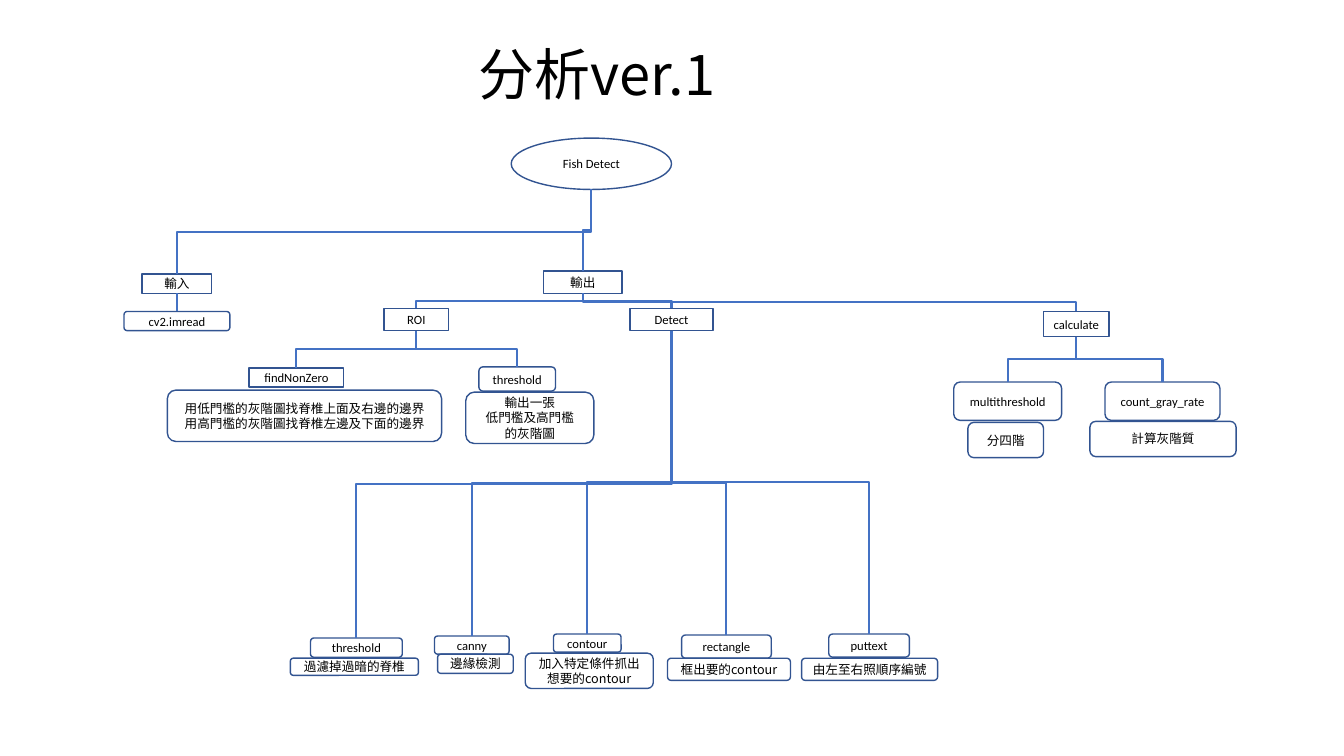
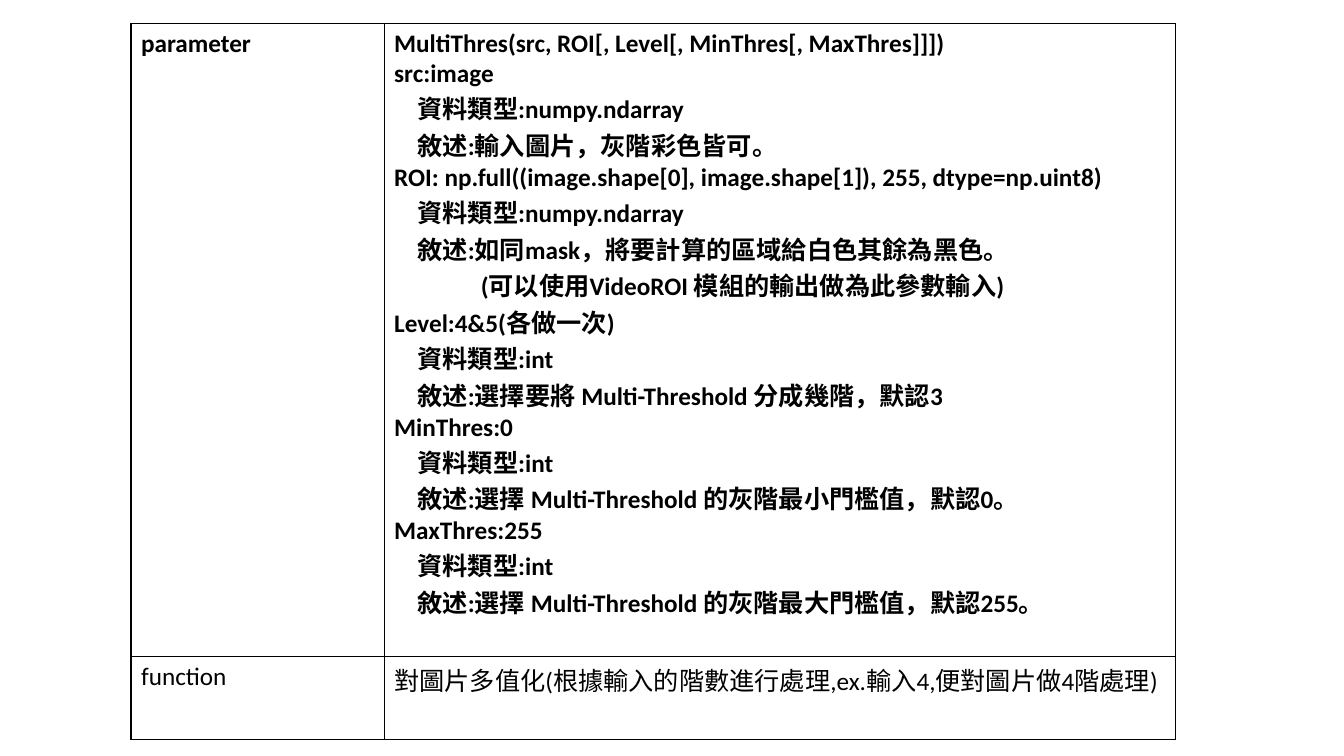
import dataclasses

import pptx
import pptx.dml.color
import pptx.enum.shapes
import pptx.enum.text
import pptx.oxml
import pptx.oxml.ns
import pptx.util
from lxml import etree

Inches = pptx.util.Inches
Pt = pptx.util.Pt
RGBColor = pptx.dml.color.RGBColor
MSO_SHAPE = pptx.enum.shapes.MSO_SHAPE
MSO_CONNECTOR = pptx.enum.shapes.MSO_CONNECTOR
PP_ALIGN = pptx.enum.text.PP_ALIGN
MSO_ANCHOR = pptx.enum.text.MSO_ANCHOR
qn = pptx.oxml.ns.qn

# Shared colours, fonts and formats
BLACK = RGBColor(0x00, 0x00, 0x00)
WHITE = RGBColor(0xFF, 0xFF, 0xFF)
OUTLINE = RGBColor(0x32, 0x54, 0x91)
LINK = RGBColor(0x44, 0x72, 0xC4)
LATIN = "Calibri"
CJK = "Noto Sans CJK SC"

TITLE_FONT = {"size": Pt(40), "name": CJK, "bold": False}
LABEL_FONT = {"size": Pt(9), "name": LATIN}
NOTE_FONT = {"size": Pt(9), "name": CJK}
CELL_FONT = {"size": Pt(18), "name": LATIN, "bold": False}
HEAD_FONT = {**CELL_FONT, "bold": True}
BOX_FRAME = {"word_wrap": True, "vertical_anchor": MSO_ANCHOR.MIDDLE,
             "margin_left": 0, "margin_right": 0,
             "margin_top": 0, "margin_bottom": 0}

OVAL, RECT, ROUND = (MSO_SHAPE.OVAL, MSO_SHAPE.RECTANGLE,
                     MSO_SHAPE.ROUNDED_RECTANGLE)
BOTTOM_SITE = {OVAL: 4, RECT: 2, ROUND: 2}
TOP_SITE = 0


@dataclasses.dataclass
class Node:
    text: str
    kind: int
    box: tuple
    children: tuple = ()
    note: tuple = ()  # lines and box of the explanation below


# Call tree: every box is left, top, width, height in inches
INPUT = Node("輸入", RECT, (1.41, 2.72, 0.69, 0.19), (
    Node("cv2.imread", ROUND, (1.23, 3.09, 1.05, 0.19)),))

ROI = Node("ROI", RECT, (3.81, 3.06, 0.64, 0.22), (
    Node("findNonZero", RECT, (2.47, 3.65, 0.94, 0.19),
         note=("用低門檻的灰階圖找脊椎上面及右邊的邊界\n"
               "用高門檻的灰階圖找脊椎左邊及下面的邊界", (1.66, 3.87, 2.72, 0.51))),
    Node("threshold", ROUND, (4.75, 3.64, 0.76, 0.24),
         note=("輸出一張\n低門檻及高門檻\n的灰階圖", (4.62, 3.89, 1.27, 0.51))),
))

DETECT = Node("Detect", RECT, (6.25, 3.06, 0.82, 0.22), (
    Node("threshold", ROUND, (3.08, 6.33, 0.91, 0.19),
         note=("過濾掉過暗的脊椎", (2.88, 6.53, 1.27, 0.17))),
    Node("canny", ROUND, (4.31, 6.31, 0.74, 0.18),
         note=("邊緣檢測", (4.34, 6.49, 0.75, 0.19))),
    Node("contour", ROUND, (5.49, 6.29, 0.67, 0.18),
         note=("加入特定條件抓出\n想要的contour", (5.21, 6.48, 1.27, 0.35))),
    Node("rectangle", ROUND, (6.76, 6.3, 0.89, 0.23),
         note=("框出要的contour", (6.62, 6.53, 1.22, 0.22))),
    Node("puttext", ROUND, (8.22, 6.29, 0.8, 0.23),
         note=("由左至右照順序編號", (7.95, 6.53, 1.35, 0.22))),
))

CALCULATE = Node("calculate", RECT, (10.35, 3.09, 0.65, 0.25), (
    Node("multithreshold", ROUND, (9.46, 3.79, 1.07, 0.38),
         note=("分四階", (9.6, 4.19, 0.75, 0.35))),
    Node("count_gray_rate", ROUND, (10.96, 3.79, 1.14, 0.38),
         note=("計算灰階質", (10.81, 4.18, 1.45, 0.35))),
))

OUTPUT = Node("輸出", RECT, (5.39, 2.69, 0.78, 0.22), (ROI, DETECT, CALCULATE))
FISH_DETECT = Node("Fish Detect", OVAL, (5.07, 1.37, 1.59, 0.51),
                   (INPUT, OUTPUT))

# Table text: indent in inches, then the line
DETAIL, ASIDE = 0.23, 0.86
PARAMETERS = [
    (0, "MultiThres(src, ROI[, Level[, MinThres[, MaxThres]]])"),
    (0, "src:image"),
    (DETAIL, "資料類型:numpy.ndarray"),
    (DETAIL, "敘述:輸入圖片，灰階彩色皆可。"),
    (0, "ROI: np.full((image.shape[0], image.shape[1]), 255, dtype=np.uint8)"),
    (DETAIL, "資料類型:numpy.ndarray"),
    (DETAIL, "敘述:如同mask，將要計算的區域給白色其餘為黑色。"),
    (ASIDE, "(可以使用VideoROI 模組的輸出做為此參數輸入)"),
    (0, "Level:4&5(各做一次)"),
    (DETAIL, "資料類型:int"),
    (DETAIL, "敘述:選擇要將 Multi-Threshold 分成幾階，默認3"),
    (0, "MinThres:0"),
    (DETAIL, "資料類型:int"),
    (DETAIL, "敘述:選擇 Multi-Threshold 的灰階最小門檻值，默認0。"),
    (0, "MaxThres:255"),
    (DETAIL, "資料類型:int"),
    (DETAIL, "敘述:選擇 Multi-Threshold 的灰階最大門檻值，默認255。"),
]
FUNCTION = [(0, "對圖片多值化(根據輸入的階數進行處理,ex.輸入4,便對圖片做4階處理)")]
ROWS = [
    (HEAD_FONT, [(0, "parameter")], PARAMETERS),
    (CELL_FONT, [(0, "function")], FUNCTION),
]
COLUMN_WIDTHS = (2.51, 7.85)
ROW_HEIGHTS = (6.28, 0.82)


def apply(target, values):
    for name, value in values.items():
        setattr(target, name, value)


def write(tf, lines, font, align):
    """Fill a text frame with (indent, text) lines in one font."""
    for i, (indent, text) in enumerate(lines):
        p = tf.paragraphs[0] if i == 0 else tf.add_paragraph()
        p.alignment = align
        if indent:
            pPr = p._p.get_or_add_pPr()
            pPr.set("marL", str(Inches(indent)))
            pPr.set("indent", "0")
        r = p.add_run()
        r.text = text
        apply(r.font, font)
        r.font.color.rgb = BLACK
        ea = etree.SubElement(r._r.get_or_add_rPr(), qn("a:ea"))
        ea.set("typeface", CJK)


def add_title(s, text, box):
    title = s.shapes.title
    apply(title, dict(zip(("left", "top", "width", "height"),
                          map(Inches, box))))
    title.text_frame.vertical_anchor = MSO_ANCHOR.MIDDLE
    write(title.text_frame, [(0, text)], TITLE_FONT, PP_ALIGN.CENTER)


def add_box(s, text, kind, box):
    sp = s.shapes.add_shape(kind, *map(Inches, box))
    sp.shadow.inherit = False
    sp.fill.solid()
    sp.fill.fore_color.rgb = WHITE
    sp.line.color.rgb = OUTLINE
    sp.line.width = Pt(1)
    apply(sp.text_frame, BOX_FRAME)
    font = LABEL_FONT if text.isascii() else NOTE_FONT
    write(sp.text_frame, [(0, line) for line in text.split("\n")], font,
          PP_ALIGN.CENTER)
    return sp


def link(s, parent, child, site):
    """Join the bottom of parent to the top of child."""
    x1, y1 = parent.left + parent.width // 2, parent.top + parent.height
    x2, y2 = child.left + child.width // 2, child.top
    dx, dy = x2 - x1, y2 - y1
    if abs(dx) < Inches(0.02):
        cn = s.shapes.add_connector(MSO_CONNECTOR.STRAIGHT, x1, y1, x1, y2)
    else:
        # A bent line starts sideways, so it is laid flat and turned
        left, top = (x1 + x2 - dy) // 2, (y1 + y2 - abs(dx)) // 2
        ends = (left, left + dy) if dx < 0 else (left + dy, left)
        cn = s.shapes.add_connector(MSO_CONNECTOR.ELBOW, ends[0], top,
                                    ends[1], top + abs(dx))
        turn = 90 if dx < 0 else 270
        cn._element.spPr.find(qn("a:xfrm")).set("rot", str(turn * 60000))
    cn._connect_begin_to(parent, site)
    cn._connect_end_to(child, TOP_SITE)
    cn.line.color.rgb = LINK
    cn.line.width = Pt(1.5)
    etree.SubElement(cn._element.spPr, qn("a:effectLst"))


def add_tree(s, node):
    sp = add_box(s, node.text, node.kind, node.box)
    if node.note:
        text, box = node.note
        add_box(s, text, ROUND, box)
    for child in node.children:
        link(s, sp, add_tree(s, child), BOTTOM_SITE[node.kind])
    return sp


def set_borders(cell):
    tcPr = cell._tc.get_or_add_tcPr()
    for i, side in enumerate(("lnL", "lnR", "lnT", "lnB")):
        ln = etree.Element(qn("a:" + side), w=str(Pt(1)))
        fill = etree.SubElement(ln, qn("a:solidFill"))
        etree.SubElement(fill, qn("a:srgbClr"), val=str(BLACK))
        tcPr.insert(i, ln)


def add_parameter_table(s, left, top):
    frame = s.shapes.add_table(
        len(ROWS), len(COLUMN_WIDTHS), Inches(left), Inches(top),
        Inches(sum(COLUMN_WIDTHS)), Inches(sum(ROW_HEIGHTS)))
    table = frame.table
    apply(table, {"first_row": False, "horz_banding": False})
    for column, width in zip(table.columns, COLUMN_WIDTHS):
        column.width = Inches(width)
    for row, height, (font, *texts) in zip(table.rows, ROW_HEIGHTS, ROWS):
        row.height = Inches(height)
        for cell, lines in zip(row.cells, texts):
            cell.fill.solid()
            cell.fill.fore_color.rgb = WHITE
            set_borders(cell)
            write(cell.text_frame, lines, font, PP_ALIGN.LEFT)


def main():
    prs = pptx.Presentation()
    prs.slide_width, prs.slide_height = Inches(13.33), Inches(7.5)
    title_only, blank = prs.slide_layouts[5], prs.slide_layouts[6]

    # Slide 1: call tree
    s = prs.slides.add_slide(title_only)
    add_title(s, "分析ver.1", (1.84, 0.34, 8.16, 0.77))
    add_tree(s, FISH_DETECT)

    # Slide 2: parameters and function
    s = prs.slides.add_slide(blank)
    add_parameter_table(s, 1.3, 0.23)

    prs.save("out.pptx")


if __name__ == "__main__":
    main()
